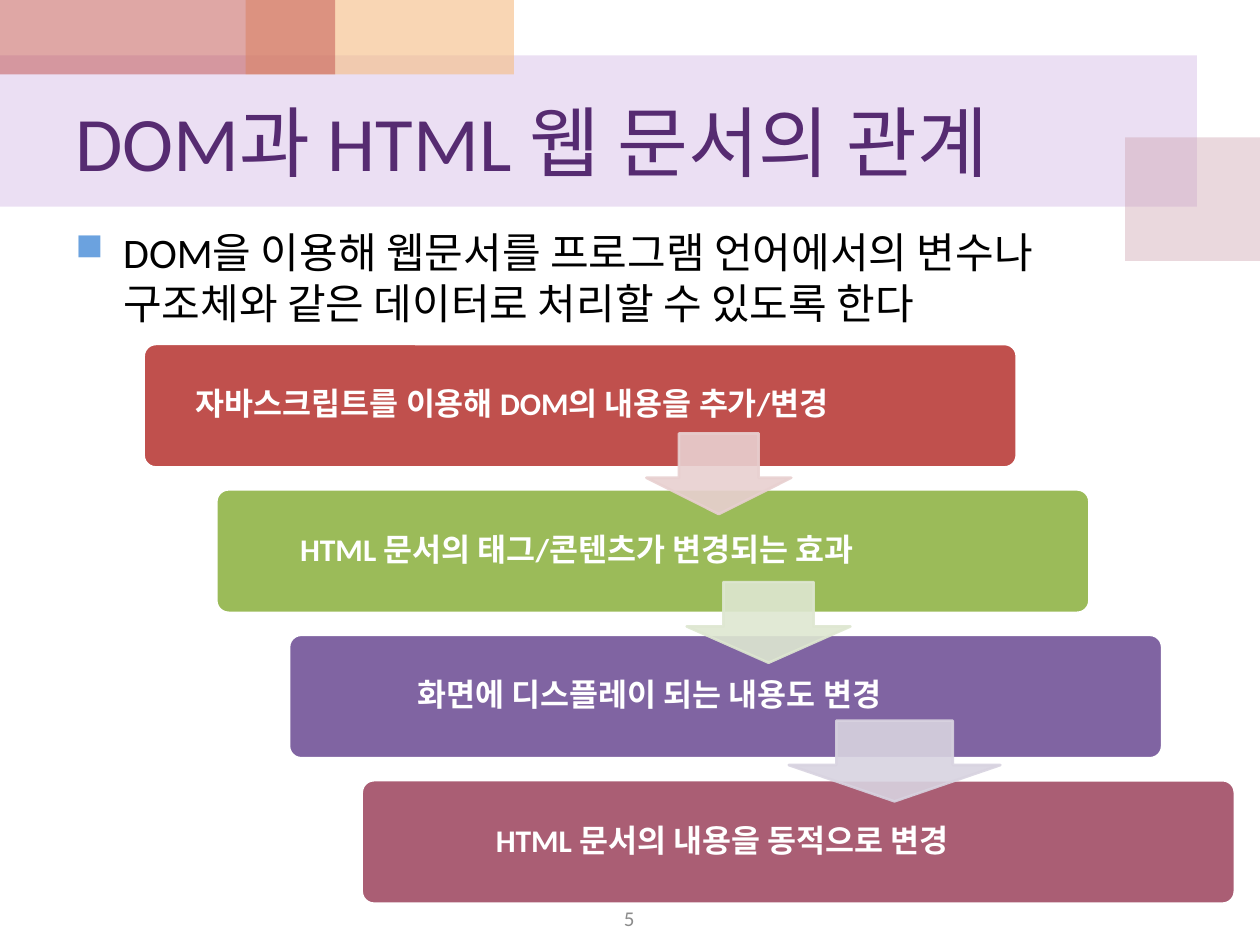
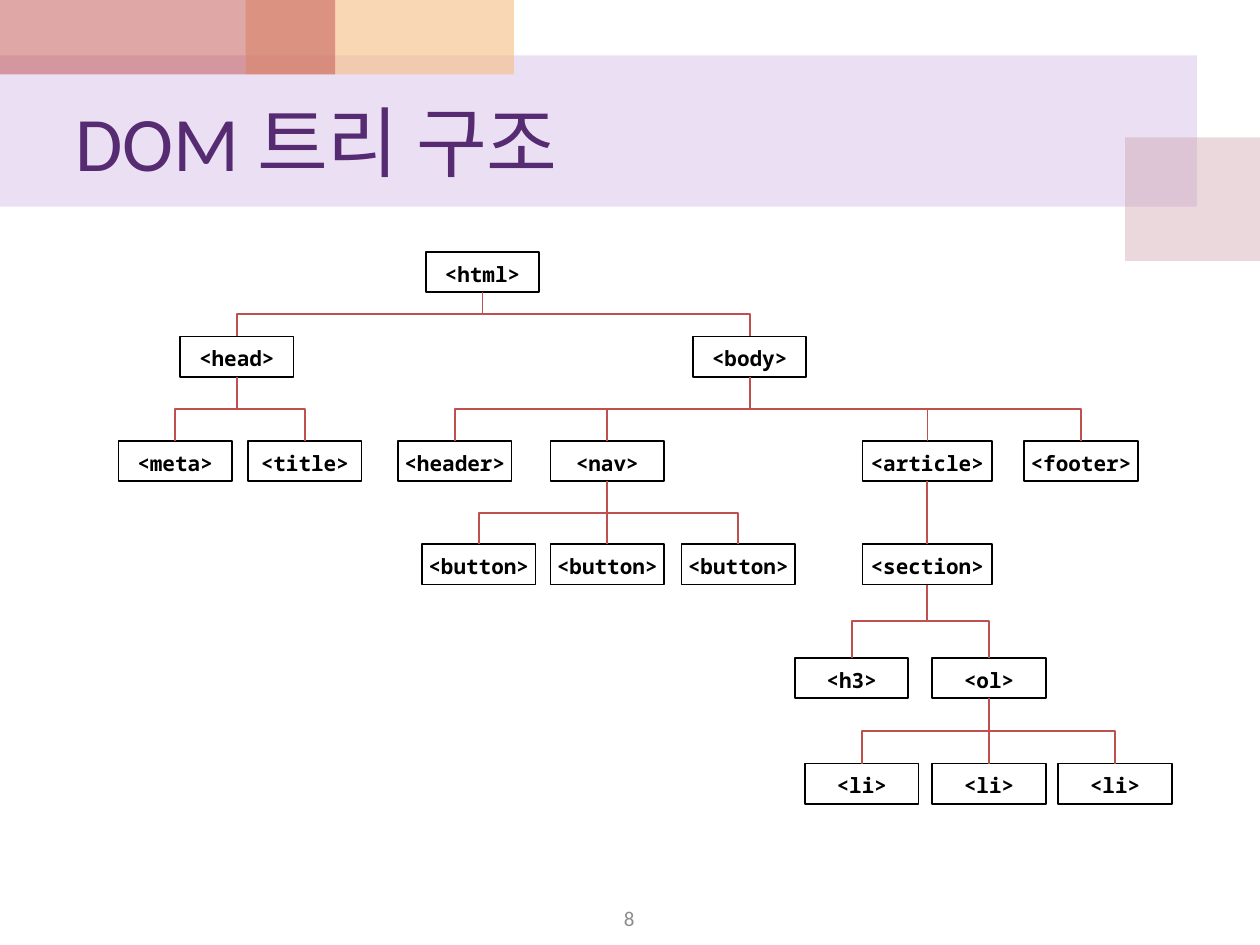
from dataclasses import dataclass
from typing import NamedTuple

from lxml.etree import SubElement
from pptx import Presentation
from pptx.dml.color import RGBColor
from pptx.enum.shapes import MSO_CONNECTOR, MSO_SHAPE
from pptx.enum.text import MSO_ANCHOR, PP_ALIGN
from pptx.oxml.ns import qn
from pptx.util import Inches, Pt

WHITE = RGBColor(0xFF, 0xFF, 0xFF)
BLACK = RGBColor(0x00, 0x00, 0x00)
GRAY = RGBColor(0x8C, 0x8C, 0x8C)
PLUM = RGBColor(0x56, 0x2B, 0x71)
LILAC = RGBColor(0xBF, 0x98, 0xD8)
PINK = RGBColor(0xCC, 0x9E, 0xAC)
PEACH = RGBColor(0xF5, 0xBC, 0x83)
RED = RGBColor(0xC0, 0x50, 0x4D)
GREEN = RGBColor(0x9B, 0xBB, 0x59)
PURPLE = RGBColor(0x80, 0x64, 0xA2)
ROSE = RGBColor(0xAA, 0x5E, 0x74)
PALE_RED = RGBColor(0xE8, 0xD0, 0xD0)
PALE_GREEN = RGBColor(0xDE, 0xE7, 0xD1)
PALE_PURPLE = RGBColor(0xD8, 0xD3, 0xE0)
BLUE = RGBColor(0x6B, 0xA2, 0xDF)

SANS, MONO = "Calibri", "Noto Sans Mono"


class Box(NamedTuple):
    left: float
    top: float
    width: float
    height: float

    def emu(self) -> list:
        return [Inches(side) for side in self]


class Font(NamedTuple):
    size: float
    color: RGBColor
    name: str = SANS
    bold: bool = False


class Band(NamedTuple):
    box: Box
    color: RGBColor
    alpha: int


class Step(NamedTuple):
    text: str
    color: RGBColor
    width: float = 5.66


class Arrow(NamedTuple):
    box: Box
    color: RGBColor


@dataclass
class Node:
    tag: str
    mid: float
    kids: tuple = ()


TITLE = Font(44, PLUM)
BODY = Font(24, BLACK)
NUMBER = Font(12, GRAY)
LABEL = Font(18, WHITE, bold=True)
TAG = Font(12, BLACK, MONO, True)

BANDS = [
    Band(Box(0, 0.44, 9.5, 1.2), LILAC, 30),
    Band(Box(8.93, 1.09, 1.07, 0.98), PINK, 40),
    Band(Box(1.95, 0, 2.13, 0.59), PEACH, 60),
    Band(Box(0, 0, 2.66, 0.59), RED, 50),
]

STEPS = [
    Step("자바스크립트를 이용해 DOM의 내용을 추가/변경", RED, 5.79),
    Step("HTML 문서의 태그/콘텐츠가 변경되는 효과", GREEN),
    Step("화면에 디스플레이 되는 내용도 변경", PURPLE),
    Step("HTML 문서의 내용을 동적으로 변경", ROSE),
]
ARROWS = [
    Arrow(Box(5.13, 3.44, 1.15, 0.64), PALE_RED),
    Arrow(Box(5.45, 4.62, 1.3, 0.64), PALE_GREEN),
    Arrow(Box(6.26, 5.72, 1.68, 0.64), PALE_PURPLE),
]

ROWS = [2, 2.67, 3.5, 4.32, 5.22, 6.06]
ITEMS = tuple(Node("<li>", mid) for mid in (6.84, 7.85, 8.85))
BUTTONS = tuple(Node("<button>", mid) for mid in (3.8, 4.82, 5.86))
SECTION = Node("<section>", 7.36, (
    Node("<h3>", 6.76),
    Node("<ol>", 7.85, ITEMS),
))
HEAD = Node("<head>", 1.88, (
    Node("<meta>", 1.39),
    Node("<title>", 2.42),
))
BODY_NODE = Node("<body>", 5.95, (
    Node("<header>", 3.61),
    Node("<nav>", 4.82, BUTTONS),
    Node("<article>", 7.36, (SECTION,)),
    Node("<footer>", 8.58),
))
TREE = Node("<html>", 3.83, (HEAD, BODY_NODE))


def fade(fill, alpha: int) -> None:
    """Set the opacity, in percent, of a solid fill."""
    color = fill._xPr.find(qn("a:solidFill"))[0]
    SubElement(color, qn("a:alpha")).set("val", str(alpha * 1000))


def add_box(slide, kind, box: Box, color: RGBColor, line=None,
            weight: float = 1.5, alpha: int = 100):
    shape = slide.shapes.add_shape(kind, *box.emu())
    shape.shadow.inherit = False
    shape.fill.solid()
    shape.fill.fore_color.rgb = color
    if line is None:
        shape.line.fill.background()
    else:
        shape.line.color.rgb = line
        shape.line.width = Pt(weight)
    if alpha < 100:
        fade(shape.fill, alpha)
        if line is not None:
            fade(shape.line.fill, alpha)
    return shape


def write(shape, text: str, font: Font, align=PP_ALIGN.LEFT,
          anchor=MSO_ANCHOR.MIDDLE, inset=None, spacing=None):
    frame = shape.text_frame
    frame.word_wrap = True
    frame.vertical_anchor = anchor
    if inset is not None:
        frame.margin_left = frame.margin_right = Inches(inset)
        frame.margin_top = frame.margin_bottom = Inches(inset)
    para = frame.paragraphs[0]
    para.alignment = align
    if spacing:
        para.line_spacing = spacing
    run = para.add_run()
    run.text = text
    run.font.name = font.name
    run.font.size = Pt(font.size)
    run.font.bold = font.bold
    run.font.color.rgb = font.color
    return para


def add_text(slide, box: Box, text: str, font: Font, **style):
    return write(slide.shapes.add_textbox(*box.emu()), text, font, **style)


def add_bullet(para) -> None:
    props = para._p.get_or_add_pPr()
    props.set("marL", str(Inches(0.38)))
    props.set("indent", str(-Inches(0.38)))
    tint = SubElement(props, qn("a:buClr"))
    SubElement(tint, qn("a:srgbClr")).set("val", str(BLUE))
    SubElement(props, qn("a:buSzPct")).set("val", "90000")
    SubElement(props, qn("a:buChar")).set("char", "■")


def add_page(deck, title: str, number: int):
    slide = deck.slides.add_slide(deck.slide_layouts[6])
    for band in BANDS:
        add_box(slide, MSO_SHAPE.RECTANGLE, band.box, band.color,
                alpha=band.alpha)
    add_text(slide, Box(0.5, 0.59, 9, 1.05), title, TITLE)
    add_text(slide, Box(3.83, 7.15, 2.33, 0.27), str(number), NUMBER,
             align=PP_ALIGN.CENTER)
    return slide


def add_steps(slide) -> None:
    for i, step in enumerate(STEPS):
        left, top = 1.14 + 0.577 * i, 2.73 + 1.154 * i
        card = add_box(slide, MSO_SHAPE.ROUNDED_RECTANGLE,
                       Box(left, top, 6.93, 0.98), step.color, WHITE)
        card.adjustments[0] = 0.1
        add_text(slide, Box(left + 0.03, top + 0.03, step.width, 0.92),
                 step.text, LABEL, align=PP_ALIGN.CENTER, inset=0.07,
                 spacing=0.9)
    for arrow in ARROWS:
        shape = add_box(slide, MSO_SHAPE.DOWN_ARROW, arrow.box, arrow.color,
                        arrow.color, alpha=90)
        shape.adjustments[0], shape.adjustments[1] = 0.55, 0.45


def turn(line, x: int, y: int, dx: int, dy: int) -> None:
    """Rotate an elbow so that it leaves downward from (x, y)."""
    line.width, line.height = dy, abs(dx)
    line.left = x + (dx - dy) // 2
    line.top = y + (dy - abs(dx)) // 2
    frame = line._element.spPr.find(qn("a:xfrm"))
    for flip in ("flipH", "flipV"):
        frame.attrib.pop(flip, None)
    frame.set("rot", "16200000" if dx > 0 else "5400000")
    if dx > 0:
        frame.set("flipH", "1")


def join(slide, upper, lower) -> None:
    x, y = upper.left + upper.width // 2, upper.top + upper.height
    dx, dy = lower.left + lower.width // 2 - x, lower.top - y
    kind = MSO_CONNECTOR.ELBOW if dx else MSO_CONNECTOR.STRAIGHT
    line = slide.shapes.add_connector(kind, x, y, x + dx, y + dy)
    line.begin_connect(upper, 2)
    line.end_connect(lower, 0)
    if dx:
        turn(line, x, y, dx, dy)
    line.line.color.rgb = RED
    line.line.width = Pt(1)
    SubElement(line._element.spPr, qn("a:effectLst"))


def add_node(slide, node: Node, depth: int = 0):
    """Draw a node with all its descendants and return its box."""
    width = 1.03 if len(node.tag) > 8 else 0.9
    shape = add_box(slide, MSO_SHAPE.RECTANGLE,
                    Box(node.mid - width / 2, ROWS[depth], width, 0.32),
                    WHITE, BLACK, 1)
    write(shape, node.tag, TAG, PP_ALIGN.CENTER, inset=0.04, spacing=1.15)
    for kid in node.kids:
        join(slide, shape, add_node(slide, kid, depth + 1))
    return shape


def main() -> None:
    deck = Presentation()
    deck.slide_width, deck.slide_height = Inches(10), Inches(7.5)

    slide = add_page(deck, "DOM과 HTML 웹 문서의 관계", 5)
    para = add_text(
        slide, Box(0.5, 1.75, 9, 1.06),
        "DOM을 이용해 웹문서를 프로그램 언어에서의 변수나 "
        "구조체와 같은 데이터로 처리할 수 있도록 한다",
        BODY, anchor=MSO_ANCHOR.TOP)
    para.space_before = Pt(4.8)
    add_bullet(para)
    add_steps(slide)

    add_node(add_page(deck, "DOM 트리 구조", 8), TREE)
    deck.save("out.pptx")


if __name__ == "__main__":
    main()
